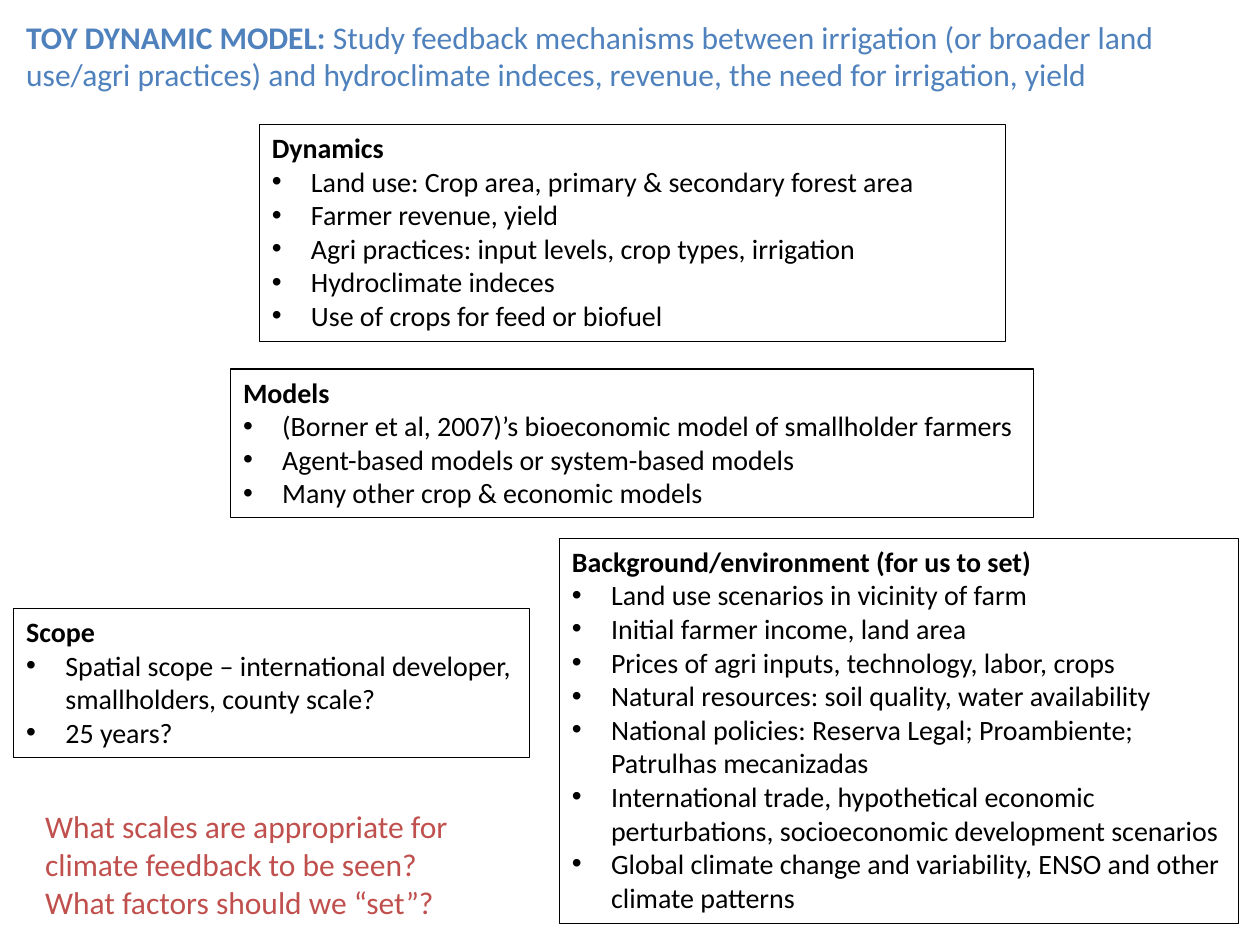
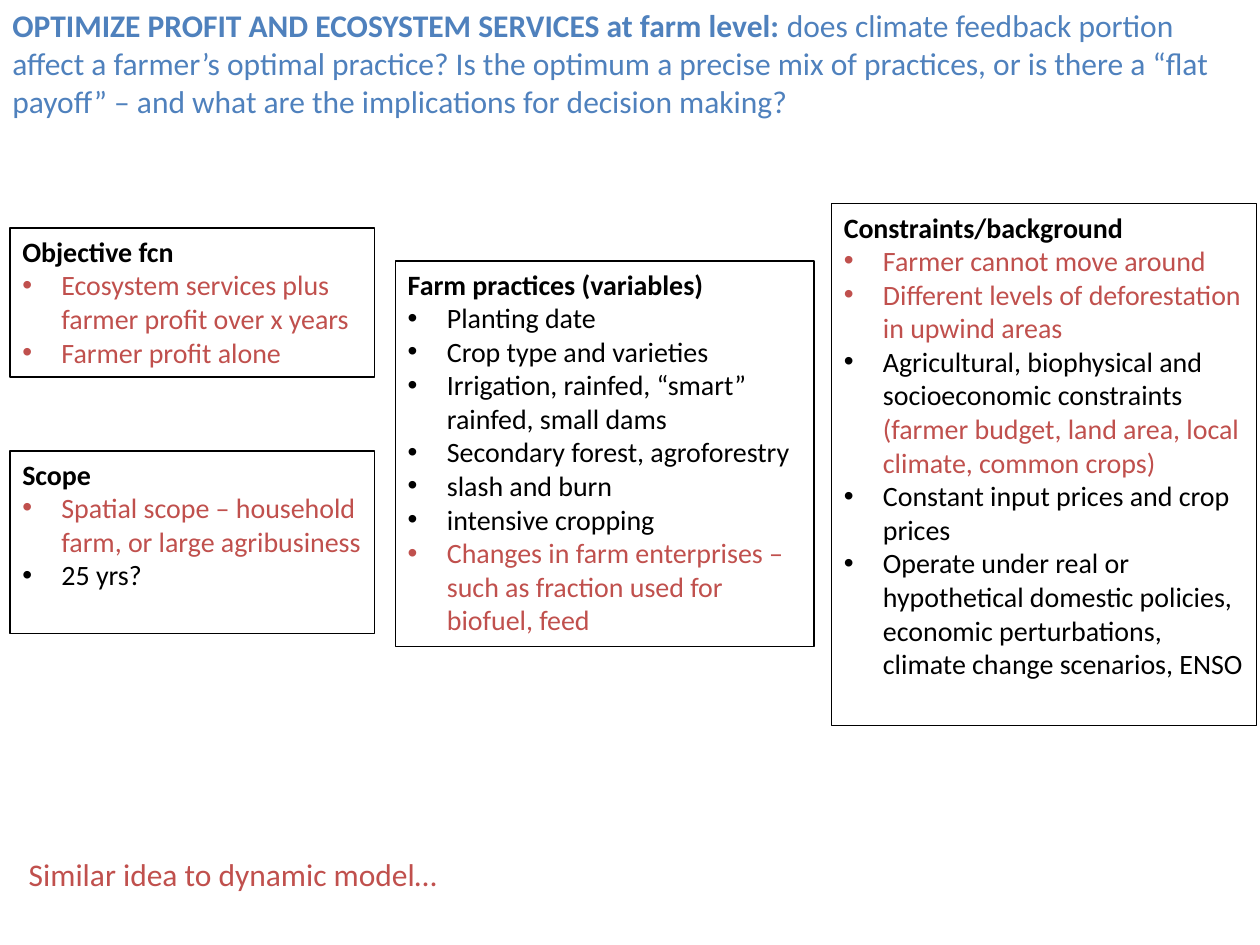
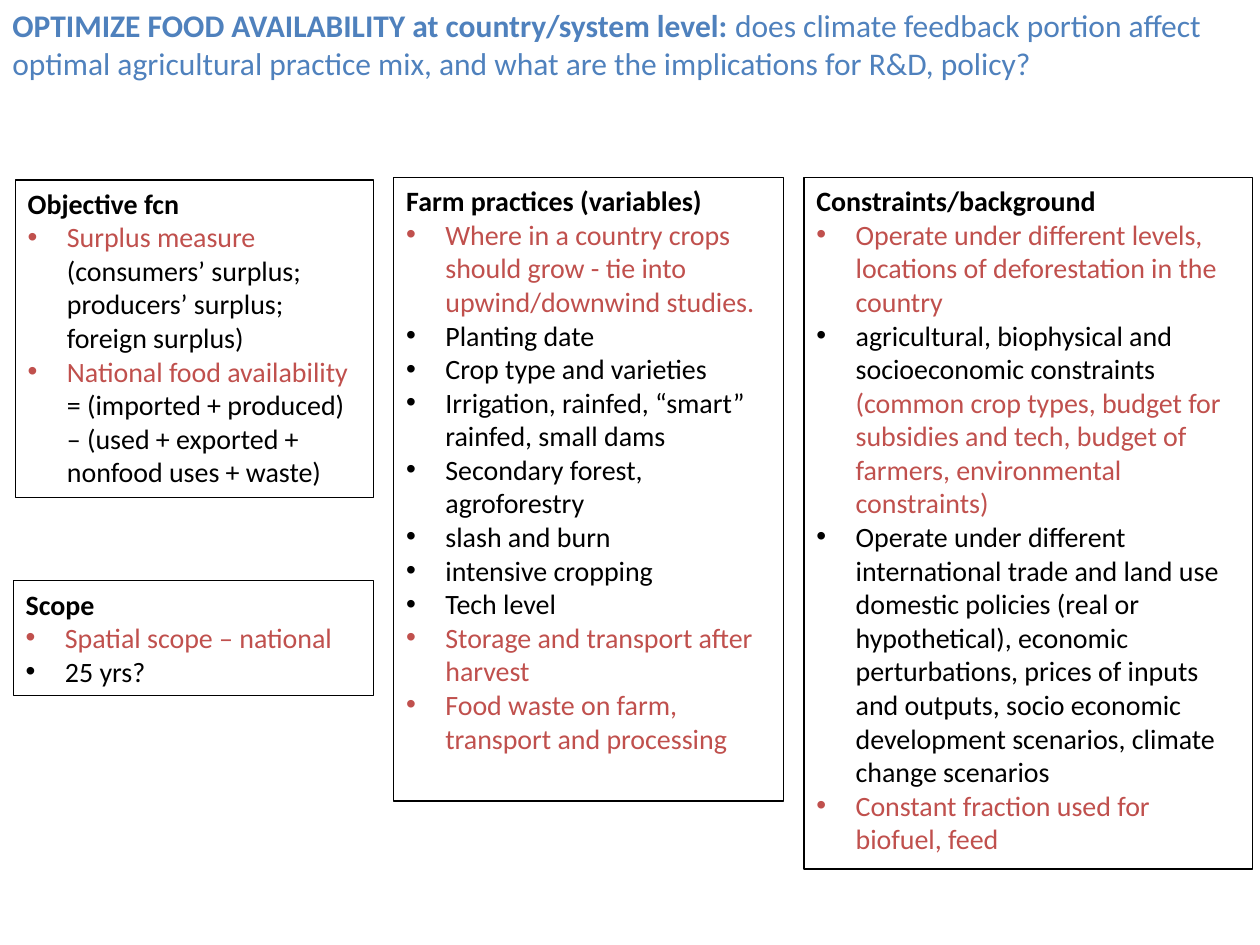
"""Builds three slides on modelling climate feedback in farm practice."""
from dataclasses import dataclass

from lxml.etree import SubElement
from pptx import Presentation
from pptx.dml.color import RGBColor as Rgb
from pptx.enum.shapes import MSO_SHAPE as Preset
from pptx.enum.text import MSO_ANCHOR as Anchor, PP_ALIGN as Align
from pptx.oxml.ns import qn
from pptx.util import Cm, Pt


@dataclass(frozen=True)
class Theme:
    """Colours, type and line sizes shared by the slides."""
    font: str = "Calibri"
    heading: Rgb = Rgb(0x4F, 0x81, 0xBD)
    ink: Rgb = Rgb(0, 0, 0)
    accent: Rgb = Rgb(0xC0, 0x50, 0x4D)
    large: Pt = Pt(18)
    body: Pt = Pt(16)
    border: Pt = Pt(0.75)
    indent: Cm = Cm(0.79)


@dataclass(frozen=True)
class Accent:
    """A phrase set in the accent colour."""
    text: str


class Deck:
    """Holds the theme and the current slide, and draws each kind of element."""

    def __init__(self, theme):
        self.theme = theme
        self.show = Presentation()
        self.show.slide_width, self.show.slide_height = Cm(25.4), Cm(19.05)
        self.slide = None

    def new_slide(self):
        """Starts a blank slide."""
        self.slide = self.show.slides.add_slide(self.show.slide_layouts[6])

    def style(self, font, size, colour, bold=False):
        """Sets the typeface, size, colour and weight of a font."""
        font.name, font.size, font.bold = self.theme.font, size, bold
        font.color.rgb = colour

    def paragraphs(self, frame, count):
        """Returns the given number of left-aligned paragraphs of a frame."""
        lines = [frame.paragraphs[0]]
        lines += [frame.add_paragraph() for _ in range(count - 1)]
        for line in lines:
            line.alignment = Align.LEFT
        return lines

    def text_frame(self, place, wrap=True):
        """Adds a text box and returns its frame."""
        frame = self.slide.shapes.add_textbox(*map(Cm, place)).text_frame
        frame.word_wrap = wrap
        return frame

    def title(self, place, topic, question):
        """Adds a heading with a bold topic followed by its question."""
        line, = self.paragraphs(self.text_frame(place), 1)
        for text, bold in ((topic, True), (question, False)):
            run = line.add_run()
            run.text = text
            self.style(run.font, self.theme.large, self.theme.heading, bold)

    def note(self, place, *remarks, wrap=True):
        """Adds large accented remarks, one to a paragraph."""
        frame = self.text_frame(place, wrap)
        for line, remark in zip(self.paragraphs(frame, len(remarks)), remarks):
            line.text = remark
            self.style(line.font, self.theme.large, self.theme.accent)

    def bullet(self, line):
        """Gives a paragraph a hanging bullet."""
        props = line._p.get_or_add_pPr()
        props.set("marL", str(self.theme.indent))
        props.set("indent", str(-self.theme.indent))
        SubElement(props, qn("a:buFont"), typeface="Arial")
        SubElement(props, qn("a:buChar"), char="•")

    def panel(self, place, heading, *items):
        """Adds an outlined box with a bold heading and bulleted items."""
        theme = self.theme
        box = self.slide.shapes.add_shape(Preset.RECTANGLE, *map(Cm, place))
        box.shadow.inherit = False
        box.fill.background()
        box.line.color.rgb, box.line.width = theme.ink, theme.border
        frame = box.text_frame
        frame.word_wrap, frame.vertical_anchor = True, Anchor.TOP
        top, *lines = self.paragraphs(frame, len(items) + 1)
        top.text = heading
        self.style(top.font, theme.body, theme.ink, bold=True)
        for line, item in zip(lines, items):
            self.bullet(line)
            phrases = item if isinstance(item, tuple) else (item,)
            for phrase in phrases:
                accented = isinstance(phrase, Accent)
                run = line.add_run()
                run.text = phrase.text if accented else phrase
                font = run.font if len(phrases) > 1 else line.font
                self.style(font, theme.body, theme.accent if accented else theme.ink)


deck = Deck(Theme())
crop_choices = (
    "Planting date",
    "Crop type and varieties",
    "Irrigation, rainfed, “smart” rainfed, small dams",
    "Secondary forest, agroforestry",
    "slash and burn",
    "intensive cropping",
)

deck.new_slide()
deck.title((0.28, 0.23, 24.41, 1.8), "TOY DYNAMIC MODEL: ",
           "Study feedback mechanisms between irrigation (or broader land use/agri "
           "practices) and hydroclimate indeces, revenue, the need for irrigation, yield")
deck.panel((4.65, 7.44, 16.18, 3), "Models",
           "(Borner et al, 2007)’s bioeconomic model of smallholder farmers",
           "Agent-based models or system-based models",
           "Many other crop & economic models")
deck.panel((11.28, 10.85, 13.69, 7.77), "Background/environment (for us to set)",
           "Land use scenarios in vicinity of farm",
           "Initial farmer income, land area",
           "Prices of agri inputs, technology, labor, crops",
           "Natural resources: soil quality, water availability",
           "National policies: Reserva Legal; Proambiente; Patrulhas mecanizadas",
           "International trade, hypothetical economic perturbations, "
           "socioeconomic development scenarios",
           "Global climate change and variability, ENSO and other climate patterns")
deck.panel((0.28, 12.27, 10.39, 3), "Scope",
           "Spatial scope – international developer, smallholders, county scale?",
           "25 years?")
deck.panel((5.23, 2.51, 15.04, 4.37), "Dynamics",
           "Land use: Crop area, primary & secondary forest area",
           "Farmer revenue, yield",
           "Agri practices: input levels, crop types, irrigation",
           "Hydroclimate indeces",
           "Use of crops for feed or biofuel")
deck.note((0.66, 16.15, 9.58, 2.57),
          "What scales are appropriate for climate feedback to be seen?",
          "What factors should we “set”?")

deck.new_slide()
deck.panel((0.2, 4.6, 7.35, 3), "Objective fcn",
           Accent("Ecosystem services plus farmer profit over x years"),
           Accent("Farmer profit alone"))
deck.title((0, 0, 25.12, 2.57),
           "OPTIMIZE PROFIT AND ECOSYSTEM SERVICES at farm level: ",
           "does climate feedback portion affect a farmer’s optimal practice? Is the "
           "optimum a precise mix of practices, or is there a “flat payoff” – and what "
           "are the implications for decision making? ")
deck.panel((0.2, 9.09, 7.35, 3.68), "Scope",
           Accent("Spatial scope – household farm, or large agribusiness"),
           "25 yrs?")
deck.panel((16.76, 4.11, 8.57, 10.52), "Constraints/background",
           Accent("Farmer cannot move around"),
           Accent("Different levels of deforestation in upwind areas"),
           ("Agricultural, biophysical and socioeconomic constraints ",
            Accent("(farmer budget, land area, local climate, common crops)")),
           "Constant input prices and crop prices",
           "Operate under real or hypothetical domestic policies, economic "
           "perturbations, climate change scenarios, ENSO")
deck.panel((7.97, 5.26, 8.44, 7.77), "Farm practices (variables)",
           *crop_choices,
           Accent("Changes in farm enterprises – such as fraction used for biofuel, feed"))
deck.note((0.33, 17.12, 8.86, 1.02), "Similar idea to dynamic model…", wrap=False)

deck.new_slide()
deck.panel((7.94, 3.58, 7.85, 12.57), "Farm practices (variables)",
           Accent("Where in a country crops should grow - tie into "
                  "upwind/downwind studies."),
           *crop_choices,
           "Tech level",
           Accent("Storage and transport after harvest "),
           Accent("Food waste on farm, transport and processing "))
deck.panel((0.31, 3.63, 7.22, 6.4), "Objective fcn",
           (Accent("Surplus measure "),
            "(consumers’ surplus; producers’ surplus; foreign surplus)"),
           (Accent("National food availability "),
            "= (imported + produced) – (used + exported + nonfood uses + waste)"))
deck.panel((16.21, 3.58, 9.04, 13.94), "Constraints/background",
           Accent("Operate under different levels, locations of deforestation "
                  "in the country"),
           ("agricultural, biophysical and socioeconomic constraints ",
            Accent("(common crop types, budget for subsidies and tech, budget of "
                   "farmers, environmental constraints)")),
           "Operate under different international trade and land use domestic "
           "policies (real or hypothetical), economic perturbations, prices of "
           "inputs and outputs, socio economic development scenarios, climate "
           "change scenarios",
           Accent("Constant fraction used for biofuel, feed"))
deck.panel((0.27, 11.71, 7.26, 2.31), "Scope",
           Accent("Spatial scope – national"),
           "25 yrs?")
deck.title((0, 0, 25.12, 1.8),
           "OPTIMIZE FOOD AVAILABILITY at country/system level: ",
           "does climate feedback portion affect optimal agricultural practice mix, "
           "and what are the implications for R&D, policy?")

deck.show.save("out.pptx")
